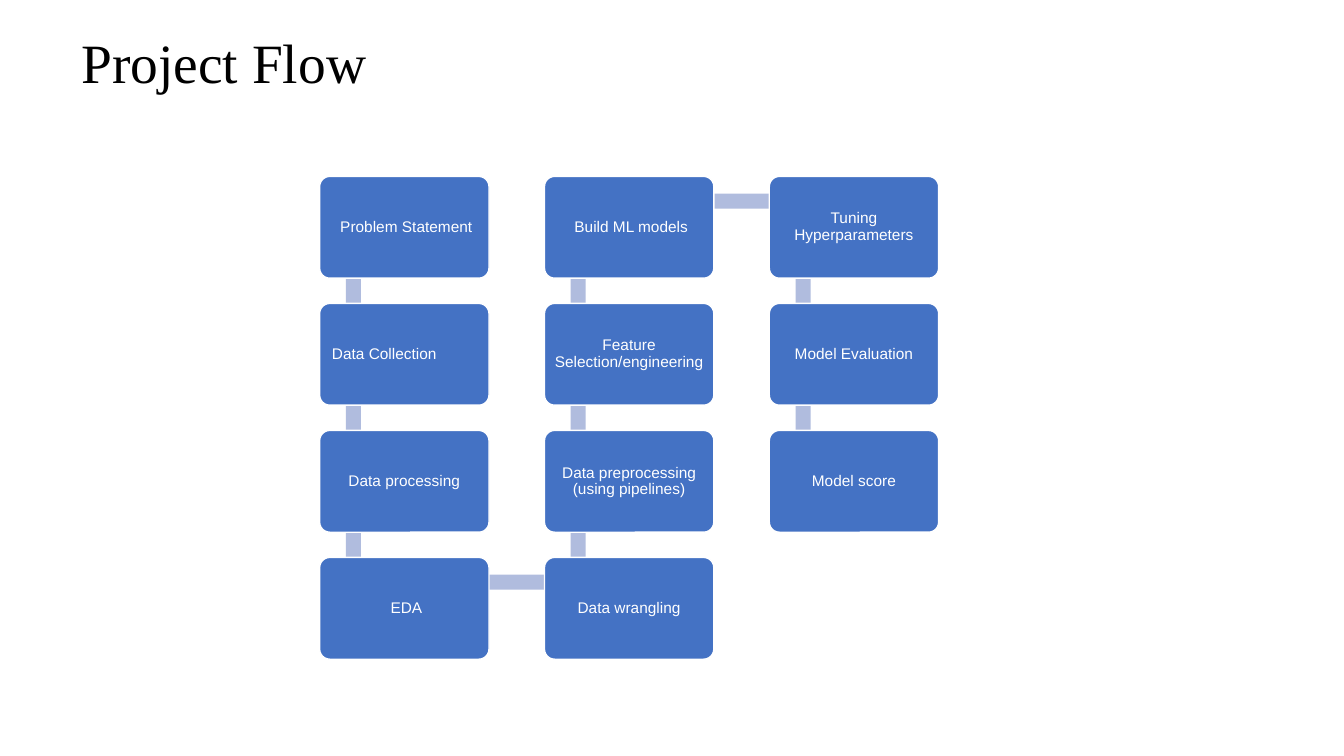
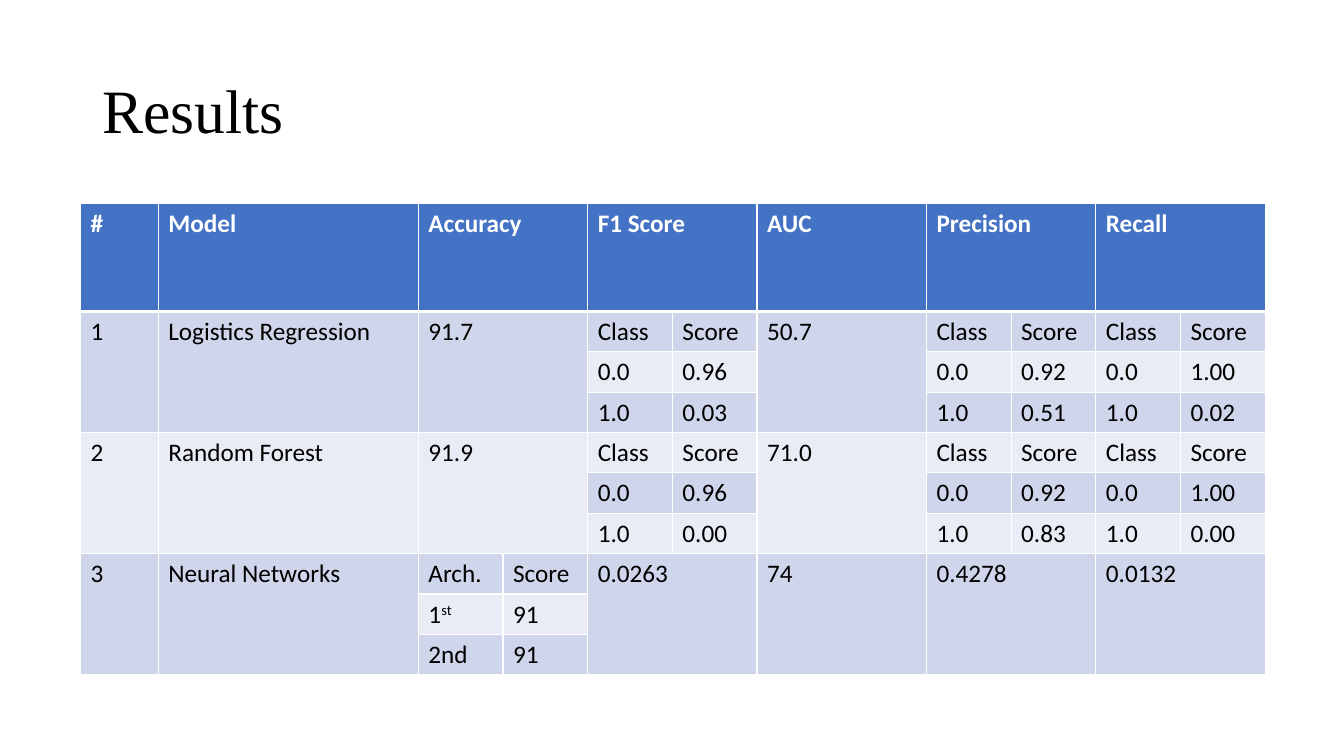
from dataclasses import dataclass
from itertools import pairwise
from typing import Any

from lxml import etree
from pptx import Presentation
from pptx.dml.color import RGBColor
from pptx.enum.shapes import MSO_SHAPE
from pptx.enum.text import MSO_ANCHOR, PP_ALIGN
from pptx.oxml.ns import qn
from pptx.util import Inches, Pt

LEFT, CENTER = PP_ALIGN.LEFT, PP_ALIGN.CENTER
MIDDLE = MSO_ANCHOR.MIDDLE
RECTANGLE, ROUNDED = MSO_SHAPE.RECTANGLE, MSO_SHAPE.ROUNDED_RECTANGLE

BLUE, PALE_BLUE = "4472C4", "B0BCDE"
BANDS = ("CFD5EA", "E9EBF5")
WHITE, BLACK = "FFFFFF", "000000"
TITLE_FONT, CARD_FONT, TABLE_FONT = "Times New Roman", "Arial", "Calibri"

# Flow grid, in inches
FLOW_LEFT, FLOW_TOP = 3.17, 1.75
CARD_WIDTH, CARD_HEIGHT = 1.68, 1.01
COLUMN_PITCH, ROW_PITCH = CARD_WIDTH + 0.55, CARD_HEIGHT + 0.25
FLOW_ROWS = 4
BAR_THICKNESS = 0.15

# Results table, in inches
TABLE_LEFT, TABLE_TOP = 0.8, 2.02
HEADER_HEIGHT, ROW_HEIGHT = 1.07, 0.4
HALF = 0.84
BLOCK_ROWS = 3


@dataclass(frozen=True)
class Step:
    label: str
    align: Any = CENTER


@dataclass(frozen=True)
class Column:
    name: str
    widths: tuple[float, ...]


STEPS = (
    Step(" Problem Statement"),
    Step(" Data Collection", LEFT),
    Step("Data processing"),
    Step(" EDA"),
    Step("Data wrangling"),
    Step("Data preprocessing (using pipelines)"),
    Step("Feature Selection/engineering"),
    Step(" Build ML models"),
    Step("Tuning Hyperparameters"),
    Step("Model Evaluation"),
    Step("Model score"),
)

COLUMNS = (
    Column("#", (0.77,)),
    Column("Model", (2.58,)),
    Column("Accuracy", (HALF, HALF)),
    Column("F1 Score", (HALF, HALF)),
    Column("AUC", (2 * HALF,)),
    Column("Precision", (HALF, HALF)),
    Column("Recall", (HALF, HALF)),
)

Grid = tuple[tuple[str, str], ...]


def by_class(zero: str, one: str) -> Grid:
    return ("Class", "Score"), ("0.0", zero), ("1.0", one)


# A text fills its whole block; a grid splits the block into small cells.
MODELS: tuple[tuple[str | Grid, ...], ...] = (
    ("1", "Logistics Regression", "91.7", by_class("0.96", "0.03"), "50.7",
     by_class("0.92", "0.51"), by_class("1.00", "0.02")),
    ("2", "Random Forest", "91.9", by_class("0.96", "0.00"), "71.0",
     by_class("0.92", "0.83"), by_class("1.00", "0.00")),
    ("3", "Neural Networks", (("Arch.", "Score"), ("1^st", "91"), ("2nd", "91")),
     "0.0263", "74", "0.4278", "0.0132"),
)


def rgb(value: str) -> RGBColor:
    return RGBColor.from_string(value)


def write_text(frame: Any, text: str, *, size: float, font: str, color: str = BLACK,
               bold: bool = False, align: Any = LEFT, line_spacing: float = 1.0) -> None:
    """Write one paragraph; whatever follows ^ is raised."""
    frame.word_wrap = True
    paragraph = frame.paragraphs[0]
    paragraph.alignment = align
    paragraph.line_spacing = line_spacing
    base, _, raised = text.partition("^")
    for part in filter(None, (base, raised)):
        run = paragraph.add_run()
        run.text = part
        run.font.size, run.font.name, run.font.bold = Pt(size), font, bold
        run.font.color.rgb = rgb(color)
        if part is raised:
            run._r.get_or_add_rPr().set("baseline", "30000")


def add_title(slide: Any, text: str, left: float, top: float, height: float,
              size: float) -> None:
    box = slide.shapes.add_textbox(Inches(left), Inches(top), Inches(11.5), Inches(height))
    box.text_frame.vertical_anchor = MIDDLE
    write_text(box.text_frame, text, size=size, font=TITLE_FONT, line_spacing=0.9)


def add_block(slide: Any, kind: Any, left: float, top: float, width: float,
              height: float, fill: str) -> Any:
    shape = slide.shapes.add_shape(kind, Inches(left), Inches(top), Inches(width), Inches(height))
    shape.shadow.inherit = False
    shape.fill.solid()
    shape.fill.fore_color.rgb = rgb(fill)
    shape.line.fill.background()
    return shape


def card_position(index: int) -> tuple[float, float]:
    """Return left and top on a path that runs down, then up, then down."""
    column, row = divmod(index, FLOW_ROWS)
    if column % 2:
        row = FLOW_ROWS - 1 - row
    return FLOW_LEFT + column * COLUMN_PITCH, FLOW_TOP + row * ROW_PITCH


def add_bar(slide: Any, start: tuple[float, float], end: tuple[float, float]) -> None:
    left, top = start[0], min(start[1], end[1])
    if start[0] == end[0]:
        add_block(slide, RECTANGLE, left + 0.26, top + 0.25, BAR_THICKNESS, ROW_PITCH, PALE_BLUE)
    else:
        add_block(slide, RECTANGLE, left + 0.34, top + 0.17, COLUMN_PITCH, BAR_THICKNESS, PALE_BLUE)


def add_card(slide: Any, step: Step, left: float, top: float) -> None:
    card = add_block(slide, ROUNDED, left, top, CARD_WIDTH, CARD_HEIGHT, BLUE)
    card.adjustments[0] = 0.1
    card.line.color.rgb = rgb(WHITE)
    card.line.width = Pt(1)
    frame = card.text_frame
    frame.margin_left = frame.margin_right = Inches(0.05)
    frame.margin_top = frame.margin_bottom = Inches(0.05)
    frame.vertical_anchor = MIDDLE
    write_text(frame, step.label, size=11, font=CARD_FONT, color=WHITE,
               align=step.align, line_spacing=0.9)


def build_flow(slide: Any) -> None:
    add_title(slide, "Project Flow", 0.71, 0.42, 0.45, 39.6)
    positions = [card_position(index) for index in range(len(STEPS))]
    for start, end in pairwise(positions):
        add_bar(slide, start, end)
    for step, position in zip(STEPS, positions):
        add_card(slide, step, *position)


def style_cell(cell: Any, row: int) -> None:
    """Fill a cell by its row and rule it in white, thicker under the header."""
    cell.fill.solid()
    cell.fill.fore_color.rgb = rgb(BANDS[(row - 1) % 2] if row else BLUE)
    properties = cell._tc.get_or_add_tcPr()
    widths = {"L": 1, "R": 1, "T": 3 if row == 1 else 1, "B": 1 if row else 3}
    for position, (side, width) in enumerate(widths.items()):
        border = etree.Element(qn(f"a:ln{side}"), w=str(Pt(width)))
        fill = etree.SubElement(border, qn("a:solidFill"))
        etree.SubElement(fill, qn("a:srgbClr"), val=WHITE)
        properties.insert(position, border)


def write_cell(table: Any, row: int, column: int, text: str,
               rows: int = 1, columns: int = 1) -> None:
    cell = table.cell(row, column)
    if rows * columns > 1:
        cell.merge(table.cell(row + rows - 1, column + columns - 1))
    write_text(cell.text_frame, text, size=18, font=TABLE_FONT,
               color=BLACK if row else WHITE, bold=row == 0)


def build_results(slide: Any) -> None:
    add_title(slide, "Results", 0.92, 0.4, 1.45, 44)
    widths = [width for column in COLUMNS for width in column.widths]
    heights = [HEADER_HEIGHT] + [ROW_HEIGHT] * (BLOCK_ROWS * len(MODELS))
    table = slide.shapes.add_table(
        len(heights), len(widths), Inches(TABLE_LEFT), Inches(TABLE_TOP),
        Inches(sum(widths)), Inches(sum(heights))).table
    table.horz_banding = False
    for table_column, width in zip(table.columns, widths):
        table_column.width = Inches(width)
    for row, height in enumerate(heights):
        table.rows[row].height = Inches(height)
        for cell in table.rows[row].cells:
            style_cell(cell, row)

    first = 0
    for index, column in enumerate(COLUMNS):
        span = len(column.widths)
        write_cell(table, 0, first, column.name, columns=span)
        for block, model in enumerate(MODELS):
            top, content = 1 + block * BLOCK_ROWS, model[index]
            if isinstance(content, str):
                write_cell(table, top, first, content, BLOCK_ROWS, span)
                continue
            for row, texts in enumerate(content, top):
                for position, text in enumerate(texts, first):
                    write_cell(table, row, position, text)
        first += span


def main() -> None:
    presentation = Presentation()
    presentation.slide_width, presentation.slide_height = Inches(13.33), Inches(7.5)
    blank = presentation.slide_layouts[6]
    for build in (build_flow, build_results):
        build(presentation.slides.add_slide(blank))
    presentation.save("out.pptx")


if __name__ == "__main__":
    main()
